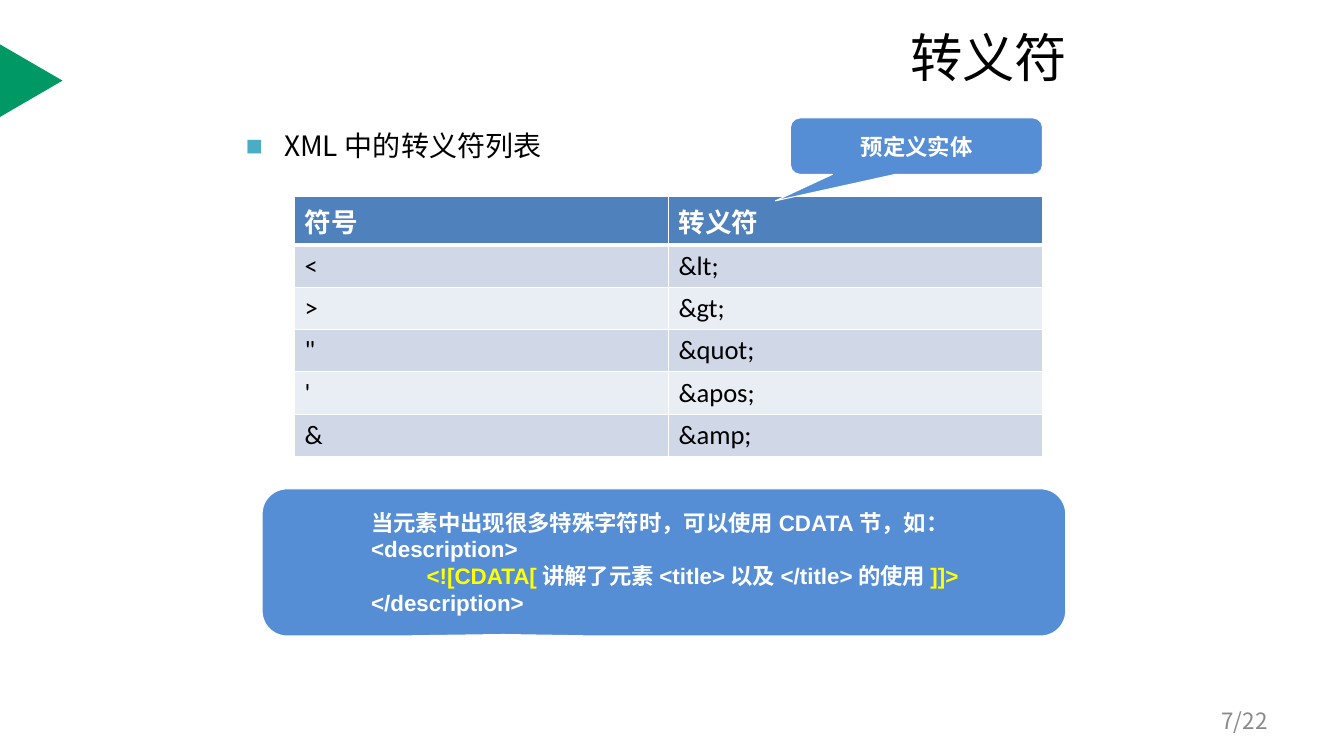
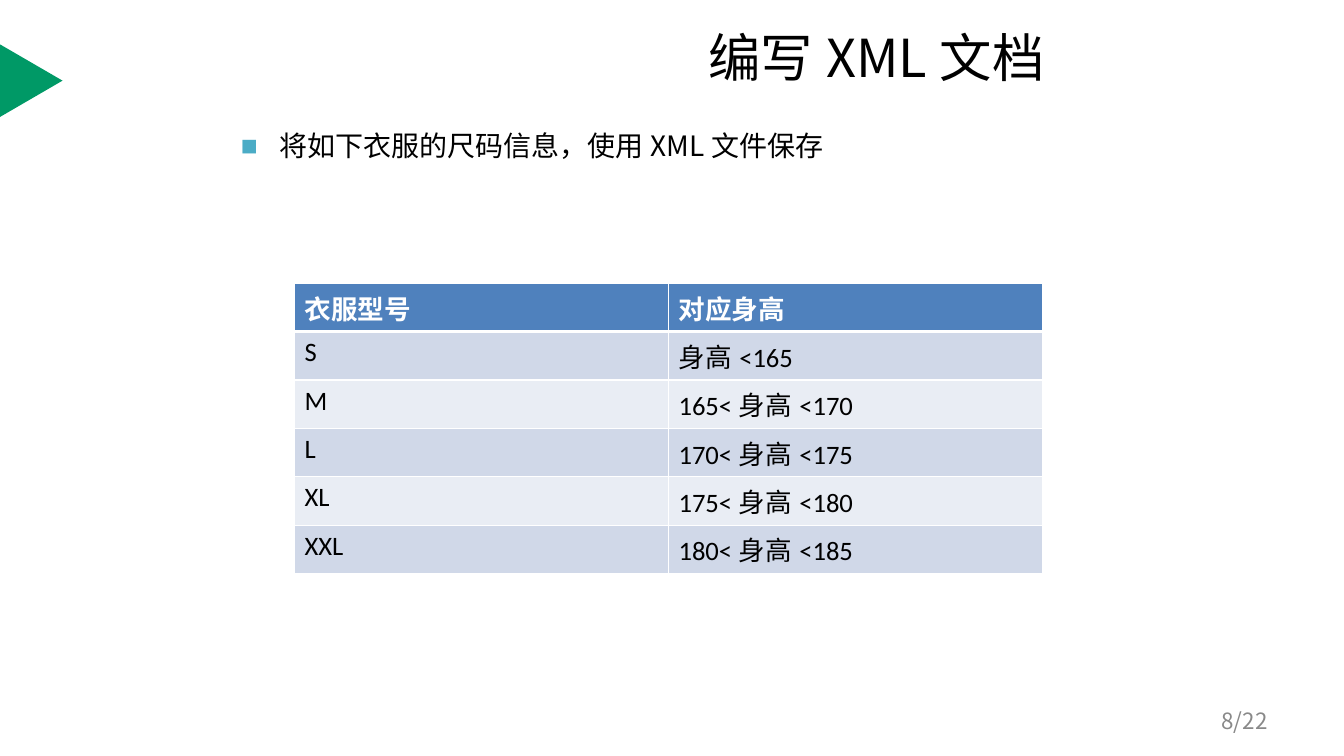
from lxml import etree
from pptx import Presentation
from pptx.dml.color import RGBColor
from pptx.enum.shapes import MSO_SHAPE
from pptx.enum.text import MSO_ANCHOR, MSO_AUTO_SIZE, PP_ALIGN
from pptx.oxml.ns import qn
from pptx.util import Inches, Pt

TRIANGLE = MSO_SHAPE.ISOSCELES_TRIANGLE
CALLOUT = MSO_SHAPE.ROUNDED_RECTANGULAR_CALLOUT
TOP, MIDDLE = MSO_ANCHOR.TOP, MSO_ANCHOR.MIDDLE
LEFT, RIGHT = PP_ALIGN.LEFT, PP_ALIGN.RIGHT
GROW = MSO_AUTO_SIZE.SHAPE_TO_FIT_TEXT

WHITE, BLACK, GREY = "FFFFFF", "000000", "898989"
GREEN, BLUE, TEAL, YELLOW = "009966", "558ED5", "4BACC6", "FFFF00"
HEADER, BANDS = "4F81BD", ("D0D8E8", "E9EDF4")
CJK = "Noto Sans CJK SC"
PAGES = 22
HEAD_HEIGHT = 0.48

TITLE = {"name": CJK, "size": Pt(37.4), "color": BLACK}
BULLET = {"name": CJK, "size": Pt(20), "color": BLACK}
FOOTER = {"name": CJK, "size": Pt(16), "color": GREY}
NOTE = {"name": "Arial", "size": Pt(16), "color": WHITE, "bold": True}
MARK = {**NOTE, "color": YELLOW}
HEAD = {"name": "Calibri", "size": Pt(19), "color": WHITE, "bold": True}
BODY = {**HEAD, "color": BLACK, "bold": False}


def rgb(color):
    return RGBColor.from_string(color)


def paint(target, color):
    target.fill.solid()
    target.fill.fore_color.rgb = rgb(color)


def add_run(p, text, style):
    r = p.add_run()
    r.text = text
    for key, value in style.items():
        if key == "color":
            r.font.color.rgb = rgb(value)
        else:
            setattr(r.font, key, value)
    ea = etree.SubElement(r.font._element, qn("a:ea"))
    ea.set("typeface", CJK)


def add_text(slide, box, text, style, anchor=TOP, align=LEFT):
    sp = slide.shapes.add_textbox(*map(Inches, box))
    tf = sp.text_frame
    for key, value in {"word_wrap": True, "vertical_anchor": anchor}.items():
        setattr(tf, key, value)
    p = tf.paragraphs[0]
    p.alignment = align
    add_run(p, text, style)
    return sp


def add_bullet(slide, box, text):
    p = add_text(slide, box, text, BULLET).text_frame.paragraphs[0]
    p.space_before = Pt(4)
    pPr = p._p.get_or_add_pPr()
    pPr.set("marL", str(Inches(0.38)))
    pPr.set("indent", str(Inches(-0.38)))
    color = etree.SubElement(pPr, qn("a:buClr"))
    etree.SubElement(color, qn("a:srgbClr")).set("val", TEAL)
    etree.SubElement(pPr, qn("a:buFont")).set("typeface", "Arial")
    etree.SubElement(pPr, qn("a:buChar")).set("char", "■")


def add_callout(slide, box, adjustments, inset, lines):
    sp = slide.shapes.add_shape(CALLOUT, *map(Inches, box))
    sp.shadow.inherit = False
    paint(sp, BLUE)
    sp.line.color.rgb = rgb(WHITE)
    sp.line.width = Pt(0.75)
    for i, value in enumerate(adjustments):
        sp.adjustments[i] = value
    tf = sp.text_frame
    frame = {"word_wrap": True, "auto_size": GROW, "vertical_anchor": MIDDLE,
             "margin_left": Inches(inset), "margin_top": Inches(0.12),
             "margin_bottom": Inches(0.12)}
    for key, value in frame.items():
        setattr(tf, key, value)
    for i, (indent, runs) in enumerate(lines):
        p = tf.add_paragraph() if i else tf.paragraphs[0]
        p.alignment = LEFT
        if indent:
            p._p.get_or_add_pPr().set("marL", str(Inches(indent)))
        for text, style in runs:
            add_run(p, text, style)


def set_borders(cell, widths):
    tcPr = cell._tc.get_or_add_tcPr()
    for i, (side, width) in enumerate(widths.items()):
        ln = etree.Element(qn(f"a:ln{side}"), w=str(Pt(width)))
        fill = etree.SubElement(ln, qn("a:solidFill"))
        etree.SubElement(fill, qn("a:srgbClr")).set("val", WHITE)
        tcPr.insert(i, ln)


def add_table(slide, top, row_height, rows):
    height = HEAD_HEIGHT + row_height * (len(rows) - 1)
    frame = slide.shapes.add_table(len(rows), len(rows[0]), Inches(2.92),
                                   Inches(top), Inches(7.42), Inches(height))
    for i, row in enumerate(rows):
        frame.table.rows[i].height = Inches(row_height if i else HEAD_HEIGHT)
        for j, text in enumerate(row):
            cell = frame.table.cell(i, j)
            paint(cell, BANDS[(i - 1) % 2] if i else HEADER)
            set_borders(cell, {"L": 1, "R": 1, "T": 3 if i == 1 else 1,
                               "B": 1 if i else 3})
            add_run(cell.text_frame.paragraphs[0], text, BODY if i else HEAD)


def add_base(prs, title, title_left, page):
    slide = prs.slides.add_slide(prs.slide_layouts[6])
    sp = slide.shapes.add_shape(TRIANGLE, Inches(-0.05), Inches(0.49),
                                Inches(0.72), Inches(0.62))
    sp.rotation = 90
    sp.shadow.inherit = False
    paint(sp, GREEN)
    sp.line.fill.background()
    box = (title_left, 0.21, 11.47 - title_left, 0.7)
    paint(add_text(slide, box, title, TITLE, MIDDLE), WHITE)
    add_text(slide, (9.56, 6.95, 3.11, 0.4), f"{page}/{PAGES}", FOOTER,
             MIDDLE, RIGHT)
    return slide


def build_escapes(prs):
    slide = add_base(prs, "转义符", 8.93, 7)
    add_table(slide, 1.95, 0.42, [
        ("符号", "转义符"), ("<", "&lt;"), (">", "&gt;"),
        ('"', "&quot;"), ("'", "&apos;"), ("&", "&amp;")])
    add_bullet(slide, (2.34, 1.23, 8.83, 5.75), "XML中的转义符列表")
    add_callout(slide, (7.84, 1.17, 2.5, 0.56), (-0.56, 0.97, 0.17), 0.67,
                [(0, [("预定义实体", NOTE)])])
    add_callout(slide, (2.6, 4.85, 7.97, 1.46), (-0.2, 0.49, 0.17), 1.01, [
        (0, [("当元素中出现很多特殊字符时，可以使用CDATA节，如：", NOTE)]),
        (0, [("<description>", NOTE)]),
        (0.55, [("<![CDATA[", MARK),
                ("讲解了元素<title>以及</title>的使用", NOTE),
                ("]]>", MARK)]),
        (0, [("</description>", NOTE)])])


def build_sizes(prs):
    slide = add_base(prs, "编写XML文档", 6.93, 8)
    add_table(slide, 2.81, 0.48, [
        ("衣服型号", "对应身高"), ("S", "身高<165"), ("M", "165<身高<170"),
        ("L", "170<身高<175"), ("XL", "175<身高<180"),
        ("XXL", "180<身高<185")])
    add_bullet(slide, (2.29, 1.23, 8.83, 4.83),
               "将如下衣服的尺码信息，使用XML文件保存")


def main():
    prs = Presentation()
    prs.slide_width, prs.slide_height = Inches(13.33), Inches(7.5)
    build_escapes(prs)
    build_sizes(prs)
    prs.save("out.pptx")


if __name__ == "__main__":
    main()
